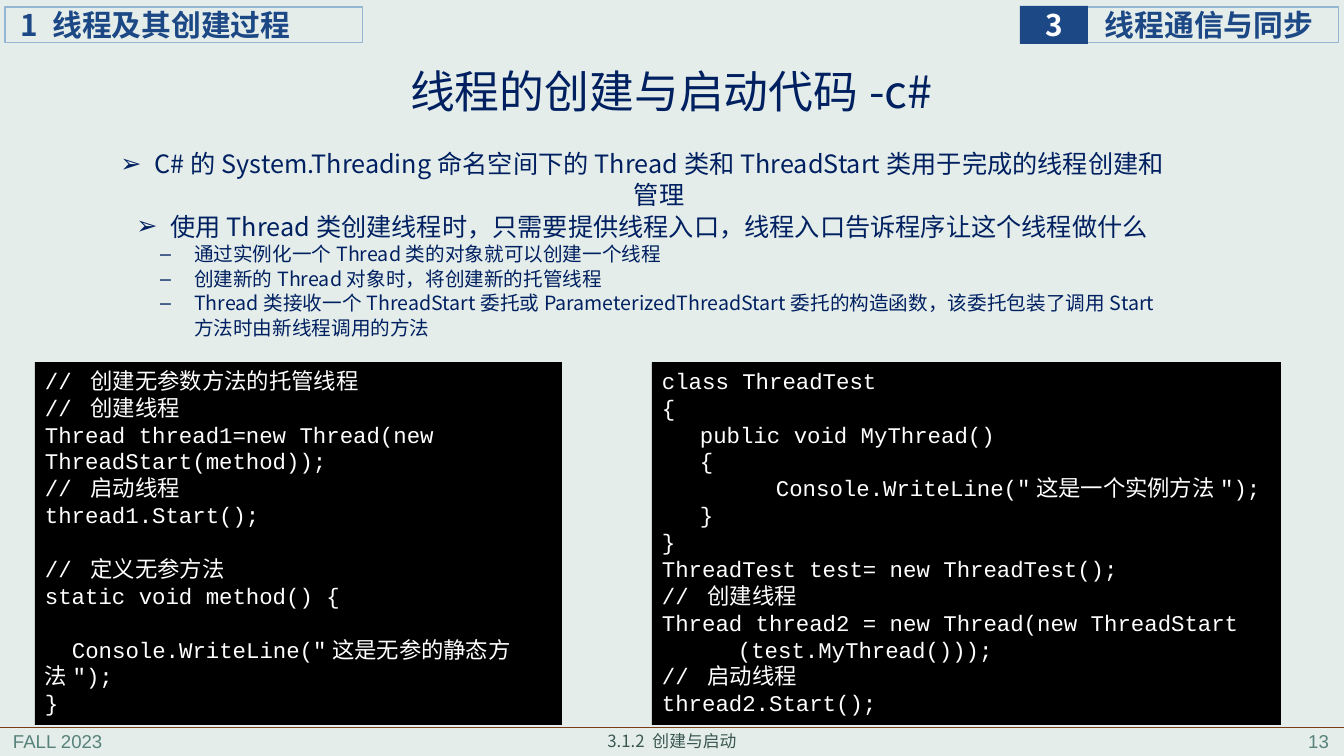
from lxml import etree
from pptx import Presentation
from pptx.dml.color import RGBColor
from pptx.enum.shapes import MSO_CONNECTOR, MSO_SHAPE
from pptx.enum.text import MSO_ANCHOR, PP_ALIGN
from pptx.oxml.ns import qn
from pptx.util import Emu, Pt

RECT, LINE = MSO_SHAPE.RECTANGLE, MSO_CONNECTOR.STRAIGHT
TOP, MID = MSO_ANCHOR.TOP, MSO_ANCHOR.MIDDLE
LEFT, MIDDLE, RIGHT = PP_ALIGN.LEFT, PP_ALIGN.CENTER, PP_ALIGN.RIGHT
WIDE, HIGH = 1344, 756
SANS, CODE, PLAIN = "Noto Sans CJK SC", "Courier New", "Arial"
PAPER, NAVY, BLUE, SKY = "E5EDEB", "002060", "1C4885", "94B6D2"
GREEN, MOSS, BROWN, BLACK, WHITE = "578279", "3A5750", "7B3D17", "000000", "FFFFFF"
PITCH = Pt(19.2)


def px(n):
    return Emu(round(n * 12192000 / WIDE))


def color(code):
    return RGBColor.from_string(code)


class Deck:
    """Holds the style and the current slide."""

    def __init__(self):
        self.file = Presentation()
        self.file.slide_width, self.file.slide_height = px(WIDE), px(HIGH)
        self.slide = self.file.slides.add_slide(self.file.slide_layouts[6])
        fill = self.slide.background.fill
        fill.solid()
        fill.fore_color.rgb = color(PAPER)

    def put(self, frame, text, size=16, font=SANS, ink=NAVY, bold=False,
            align=LEFT, space=None, before=0, left=0, first=0, mark=None):
        used = frame.paragraphs[0].runs
        para = frame.add_paragraph() if used else frame.paragraphs[0]
        para.alignment = align
        para.space_before = before
        if space:
            para.line_spacing = space
        props = para._p.get_or_add_pPr()
        props.set("marL", str(px(left)))
        props.set("indent", str(px(first)))
        if mark:
            etree.SubElement(props, qn("a:buFont")).set("typeface", PLAIN)
            etree.SubElement(props, qn("a:buChar")).set("char", mark)
        run = para.add_run()
        run.text = text
        run.font.size, run.font.bold, run.font.name = Pt(size), bold, font
        run.font.color.rgb = color(ink)
        east = etree.SubElement(run._r.get_or_add_rPr(), qn("a:ea"))
        east.set("typeface", SANS)

    def frame(self, shape, inset, anchor, wrap=True):
        frame = shape.text_frame
        frame.word_wrap, frame.vertical_anchor = wrap, anchor
        (frame.margin_left, frame.margin_top,
         frame.margin_right, frame.margin_bottom) = map(px, inset)
        return frame

    def text(self, box, inset=(10, 5, 10, 5), anchor=TOP):
        shape = self.slide.shapes.add_textbox(*map(px, box))
        return self.frame(shape, inset, anchor)

    def rect(self, box, fill=None, edge=None, inset=(10, 5, 10, 5),
             anchor=TOP, wrap=True):
        shape = self.slide.shapes.add_shape(RECT, *map(px, box))
        shape.shadow.inherit = False
        if fill:
            shape.fill.solid()
            shape.fill.fore_color.rgb = color(fill)
        else:
            shape.fill.background()
        if edge:
            shape.line.color.rgb = color(edge)
            shape.line.width = Pt(0.75)
        else:
            shape.line.fill.background()
        return self.frame(shape, inset, anchor, wrap)

    def rule(self, x1, y1, x2, y2, ink, width):
        line = self.slide.shapes.add_connector(LINE, *map(px, (x1, y1, x2, y2)))
        line.line.color.rgb = color(ink)
        line.line.width = Pt(width)
        etree.SubElement(line._element.spPr, qn("a:effectLst"))

    def code(self, box, rows):
        frame = self.rect(box, fill=BLACK)
        for text, style in rows:
            self.put(frame, text, font=CODE, ink=WHITE, space=PITCH, **style)


def main():
    deck = Deck()

    deck.rule(0, 727, WIDE, 727, BROWN, 0.5)
    for x, text, align in ((3, "FALL 2023", LEFT), (1059, "13", RIGHT)):
        foot = deck.text((x, 725, 280, 31))
        deck.put(foot, text, size=13.3, font=PLAIN, ink=GREEN, align=align)
    foot = deck.text((168, 726, 1008, 30))
    deck.put(foot, "3.1.2 创建与启动", size=12, ink=MOSS, align=MIDDLE)

    heads = (
        ((1087, 7, 252, 36), None, SKY, 18, "线程通信与同步", BLUE, LEFT, True),
        ((1020, 6, 68, 38), BLUE, None, 0, "3", WHITE, MIDDLE, False),
        ((5, 7, 358, 36), None, SKY, 16, "1 线程及其创建过程", BLUE, LEFT, True),
    )
    for box, fill, edge, pad, text, ink, align, wrap in heads:
        head = deck.rect(box, fill, edge, (pad, 0, 0, 0), MID, wrap)
        deck.put(head, text, size=21.3, ink=ink, bold=True, align=align)

    title = deck.text((295, 57, 753, 75), (8, 4, 8, 4), MID)
    deck.put(title, "线程的创建与启动代码-c#", size=32, align=MIDDLE, space=0.9)

    body = deck.text((92, 120, 1086, 246), (8, 4, 8, 4), MID)
    for text in (
        "C#的System.Threading命名空间下的Thread类和ThreadStart类用于完成的线程创建和管理",
        "使用Thread类创建线程时，只需要提供线程入口，线程入口告诉程序让这个线程做什么",
    ):
        deck.put(body, text, size=18, align=MIDDLE, space=1.04,
                 left=48, first=-34, mark="➢")
    for text in (
        "通过实例化一个Thread类的对象就可以创建一个线程",
        "创建新的Thread对象时，将创建新的托管线程",
        "Thread类接收一个ThreadStart委托或ParameterizedThreadStart委托的构造函数，"
        "该委托包装了调用Start方法时由新线程调用的方法",
    ):
        deck.put(body, text, size=14, space=1.04, left=94, first=-34, mark="–")

    step = 38
    deck.code((35, 362, 527, 363), (
        ("// 创建无参数方法的托管线程", {}),
        ("// 创建线程", {}),
        ("Thread thread1=new Thread(new ThreadStart(method));", {}),
        ("// 启动线程", {}),
        ("thread1.Start();", {}),
        ("// 定义无参方法", {"before": PITCH}),
        ("static void method() {", {}),
        ('Console.WriteLine("这是无参的静态方法");', {"before": PITCH, "first": 27}),
        ("}", {}),
    ))
    deck.code((652, 362, 629, 363), (
        ("class ThreadTest", {}),
        ("{", {}),
        ("public void MyThread()", {"left": step}),
        ("{", {"left": step}),
        ('Console.WriteLine("这是一个实例方法");', {"left": 3 * step}),
        ("}", {"left": step}),
        ("}", {}),
        ("ThreadTest test= new ThreadTest();", {}),
        ("// 创建线程", {}),
        ("Thread thread2 = new Thread(new ThreadStart", {}),
        ("(test.MyThread()));", {"left": 2 * step}),
        ("// 启动线程", {}),
        ("thread2.Start();", {}),
    ))

    deck.file.save("out.pptx")


if __name__ == "__main__":
    main()
